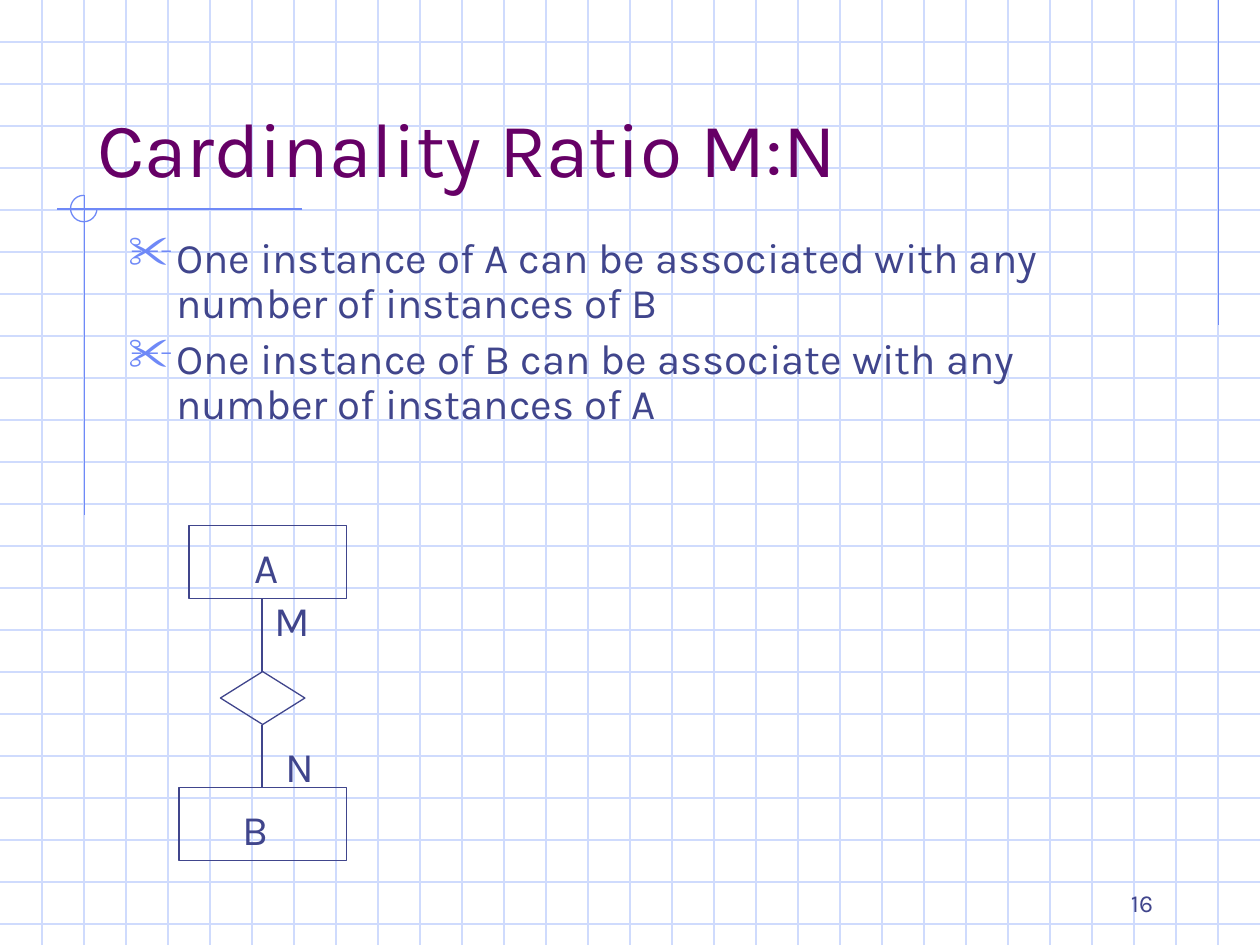
from lxml import etree
from pptx import Presentation
from pptx.dml.color import RGBColor
from pptx.enum.shapes import MSO_CONNECTOR, MSO_SHAPE
from pptx.enum.text import MSO_ANCHOR, MSO_AUTO_SIZE, PP_ALIGN
from pptx.oxml.ns import qn
from pptx.util import Inches, Pt

STRAIGHT = MSO_CONNECTOR.STRAIGHT
RECT, DIAMOND, ARC = MSO_SHAPE.RECTANGLE, MSO_SHAPE.DIAMOND, MSO_SHAPE.ARC
TOP, BOTTOM = MSO_ANCHOR.TOP, MSO_ANCHOR.BOTTOM
LEFT, RIGHT = PP_ALIGN.LEFT, PP_ALIGN.RIGHT
FIT_SHAPE, FIT_NONE = MSO_AUTO_SIZE.SHAPE_TO_FIT_TEXT, MSO_AUTO_SIZE.NONE

FONT = "Karla"
COLORS = {"grid": "CFDBFD", "accent": "6F89F7", "ink": "40458C", "title": "660066"}
WIDTH, HEIGHT = 10, 7.5
CELLS_PER_INCH = 3

# Content
TITLE = "Cardinality Ratio M:N"
BULLETS = [
    "One instance of A can be associated with any number of instances of B",
    "One instance of B can be associate with any number of instances of A",
]
PAGE = "16"
ACCENT_LINES = [  # x1, y1, x2, y2
    (9.67, 0, 9.67, 2.58),
    (2.4, 1.66, 0.45, 1.66),
    (0.67, 1.55, 0.67, 4.09),
]
NODES = [  # shape, left, top, width, height
    (RECT, 1.5, 4.17, 1.25, 0.58),
    (RECT, 1.42, 6.25, 1.33, 0.58),
    (DIAMOND, 1.75, 5.33, 0.67, 0.42),
]
LINKS = [(2.08, 5.33, 2.08, 4.75), (2.08, 5.75, 2.08, 6.25)]
LABELS = [  # text, left, top, width, height
    ("A", 1.92, 4.25, 0.5, 0.5),
    ("B", 1.83, 6.33, 0.42, 0.5),
    ("M", 2.08, 4.67, 0.58, 0.5),
    ("N", 2.17, 5.83, 0.5, 0.5),
]

prs = Presentation()
prs.slide_width, prs.slide_height = Inches(WIDTH), Inches(HEIGHT)
s = prs.slides.add_slide(prs.slide_layouts[5])


def rgb(name):
    return RGBColor.from_string(COLORS[name])


def box(*place):
    return [Inches(v) for v in place]


def add_line(ends, color):
    line = s.shapes.add_connector(STRAIGHT, *box(*ends))
    line.line.color.rgb = rgb(color)
    line.line.width = Pt(0.75)
    etree.SubElement(line._element.spPr, qn("a:effectLst"))


def add_outline(kind, place, color):
    sp = s.shapes.add_shape(kind, *box(*place))
    sp.shadow.inherit = False
    sp.fill.background()
    sp.line.color.rgb = rgb(color)
    sp.line.width = Pt(0.75)
    return sp


def write(sp, *texts, size=24, color="ink", align=LEFT, anchor=TOP,
          before=0, spacing=1.0, fit=FIT_NONE):
    tf = sp.text_frame
    tf.word_wrap = True
    tf.auto_size = fit
    tf.vertical_anchor = anchor
    for i, text in enumerate(texts):
        p = tf.add_paragraph() if i else tf.paragraphs[0]
        p.alignment = align
        p.space_before = Pt(before)
        p.line_spacing = spacing
        r = p.add_run()
        r.text = text
        r.font.name = FONT
        r.font.size = Pt(size)
        r.font.color.rgb = rgb(color)
    return tf


def add_bullet(p):
    pPr = p._p.get_or_add_pPr()
    pPr.set("marL", str(Inches(0.38)))
    pPr.set("indent", str(-Inches(0.38)))
    color = etree.SubElement(pPr, qn("a:buClr"))
    etree.SubElement(color, qn("a:srgbClr"), val=COLORS["accent"])
    etree.SubElement(pPr, qn("a:buSzPct"), val="110000")
    etree.SubElement(pPr, qn("a:buChar"), char="✂")


# Graph paper
for i in range(1, int(HEIGHT * CELLS_PER_INCH) + 1):
    y = i / CELLS_PER_INCH
    add_line((0, y, WIDTH, y), "grid")
for i in range(1, WIDTH * CELLS_PER_INCH):
    x = i / CELLS_PER_INCH
    add_line((x, 0, x, HEIGHT), "grid")

# Accent lines and three-quarter circle
for ends in ACCENT_LINES:
    add_line(ends, "accent")
arc = add_outline(ARC, (0.56, 1.55, 0.21, 0.21), "accent")
arc.adjustments[0] = 0
arc.adjustments[1] = 162  # 270 degrees

# Page number
write(s.shapes.add_textbox(*box(7.17, 6.83, 2.08, 0.5)), PAGE,
      size=14, align=RIGHT, anchor=BOTTOM)

# Title, brought in front of the grid
title = s.shapes.title
title.left, title.top, title.width, title.height = box(0.67, 0.33, 8.5, 1.25)
write(title, TITLE, size=44, color="title", anchor=BOTTOM)
s.shapes._spTree.append(title._element)

# Bullets
body = s.shapes.add_textbox(*box(0.92, 1.83, 8.5, 1.75))
for p in write(body, *BULLETS, before=6, spacing=0.9).paragraphs:
    add_bullet(p)

# Entity-relationship diagram
for kind, *place in NODES:
    add_outline(kind, place, "ink")
for ends in LINKS:
    add_line(ends, "ink")
for text, *place in LABELS:
    write(s.shapes.add_textbox(*box(*place)), text, before=15, fit=FIT_SHAPE)

prs.save("out.pptx")
